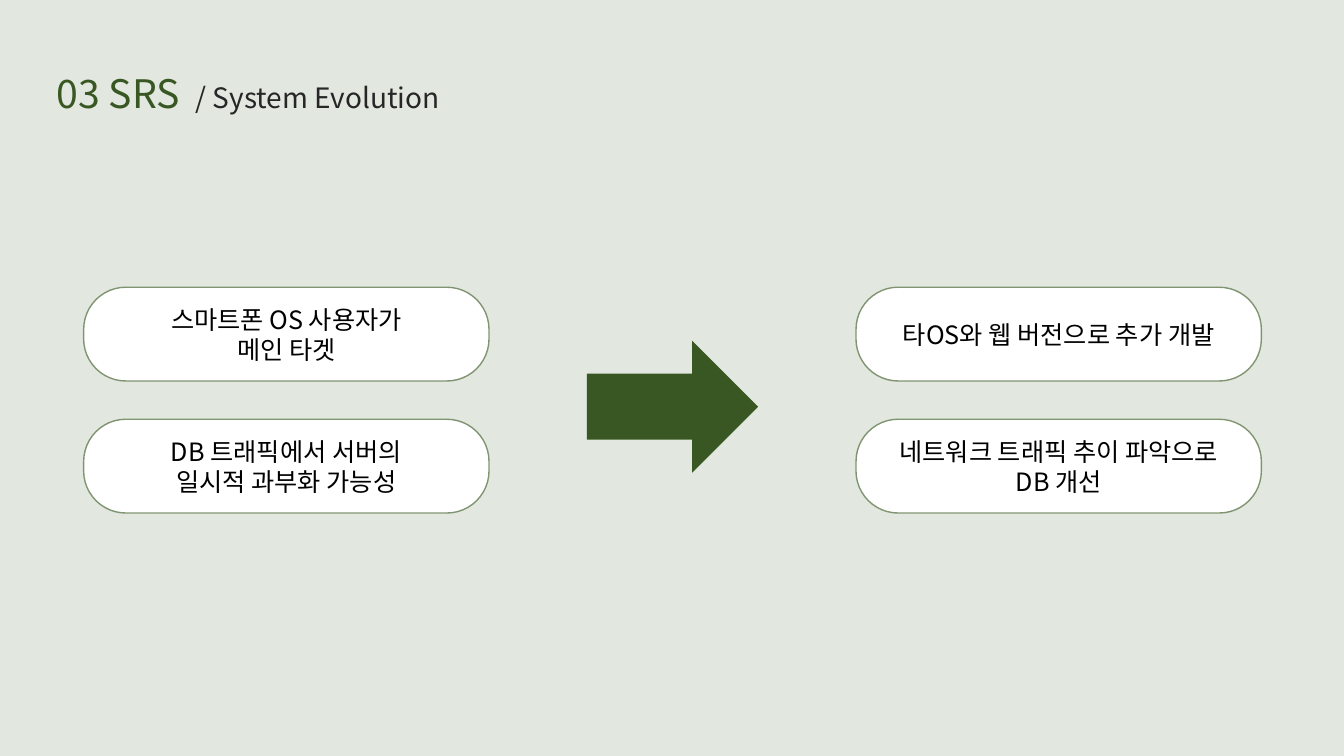
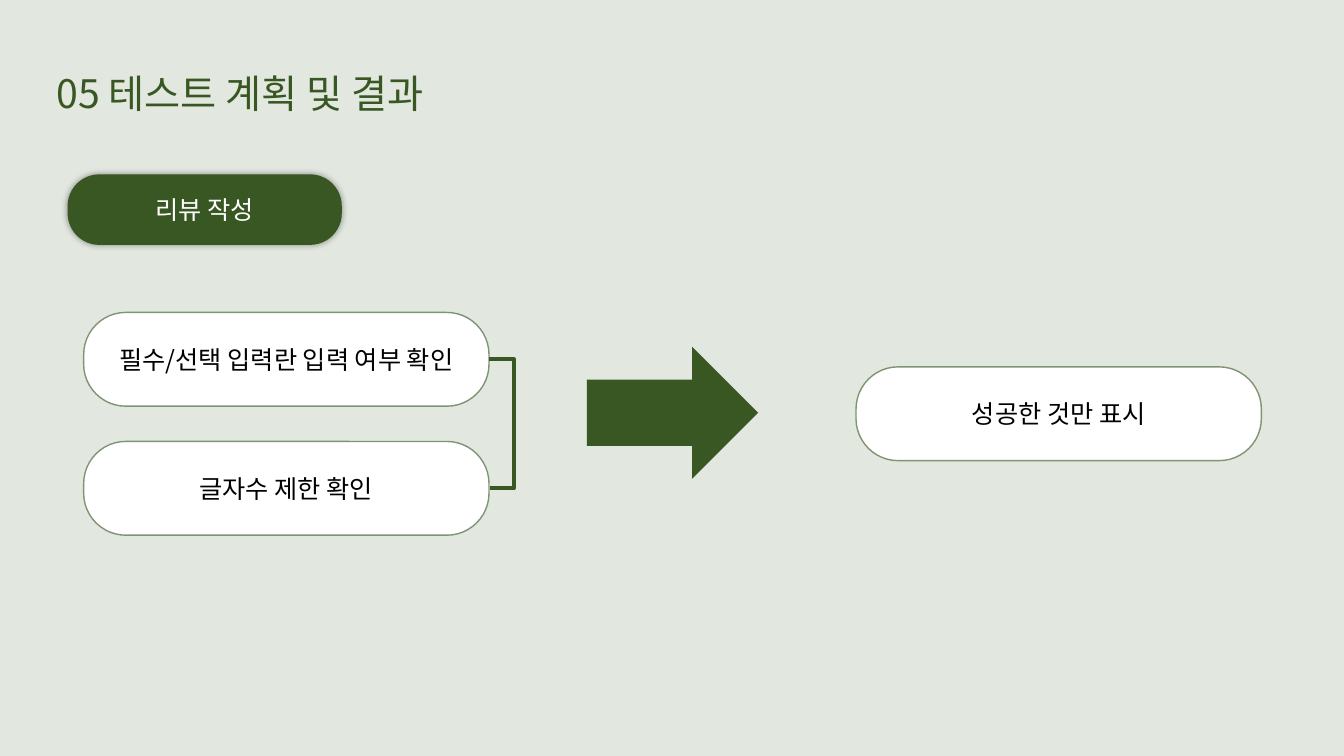
from lxml import etree
from pptx import Presentation
from pptx.dml.color import RGBColor
from pptx.enum.shapes import MSO_CONNECTOR, MSO_SHAPE
from pptx.enum.text import MSO_ANCHOR, MSO_AUTO_SIZE, PP_ALIGN
from pptx.oxml.ns import qn
from pptx.util import Inches, Pt

ROUND = MSO_SHAPE.ROUNDED_RECTANGLE
ARROW = MSO_SHAPE.RIGHT_ARROW
ELBOW = MSO_CONNECTOR.ELBOW
MIDDLE = MSO_ANCHOR.MIDDLE
FIXED = MSO_AUTO_SIZE.NONE
LEFT = PP_ALIGN.LEFT
CENTER = PP_ALIGN.CENTER

FONT = "Noto Sans CJK KR"
GREEN, SAGE, PALE = "385723", "809472", "E2E7DF"
WHITE, BLACK, GRAY = "FFFFFF", "000000", "262626"
LEFT_X, RIGHT_X = 0.83, 8.49
PILL_W, PILL_H = 4.02, 0.93
HEAD_FRAME = {"word_wrap": True, "auto_size": FIXED, "vertical_anchor": MIDDLE,
              "margin_left": Inches(0.23)}
PILL_FRAME = {"word_wrap": True, "vertical_anchor": MIDDLE}


def color(code):
    """Turn a hex string into a colour."""
    return RGBColor.from_string(code)


def box(*sides):
    """Turn inch values into lengths."""
    return [Inches(side) for side in sides]


def apply(target, values):
    """Set each named value on the target."""
    for name, value in values.items():
        setattr(target, name, value)


def add_node(parent, tag, **values):
    """Append an XML element with its attributes."""
    return etree.SubElement(parent, qn(tag), values)


def add_run(para, text, size, code):
    """Add a run in the deck font, for Latin and Korean letters."""
    run = para.add_run()
    run.text = text
    apply(run.font, {"name": FONT, "size": Pt(size), "bold": False})
    run.font.color.rgb = color(code)
    add_node(run.font._element, "a:ea", typeface=FONT)


def set_theme(prs):
    """Set the background and the title frame once; return the layout."""
    fill = prs.slide_master.background.fill
    fill.solid()
    fill.fore_color.rgb = color(PALE)
    layout = prs.slide_layouts[5]
    head = layout.placeholders[0]
    sides = box(0.33, 0.46, 7.8, 0.93)
    apply(head, dict(zip(("left", "top", "width", "height"), sides)))
    apply(head.text_frame, HEAD_FRAME)
    return layout


def add_page(prs, layout, title, topic=None):
    """Add a slide with its title and an optional topic after a tab."""
    slide = prs.slides.add_slide(layout)
    para = slide.shapes.title.text_frame.paragraphs[0]
    para.alignment = LEFT
    if topic:
        tabs = add_node(para._p.get_or_add_pPr(), "a:tabLst")
        add_node(tabs, "a:tab", pos=str(Inches(1.38)), algn="l")
    add_run(para, title, 28, GREEN)
    if topic:
        add_run(para, f"\t/ {topic}", 20, GRAY)
    return slide


def add_shape(slide, kind, sides, fill, line=None):
    """Add a flat preset shape."""
    shape = slide.shapes.add_shape(kind, *box(*sides))
    shape.shadow.inherit = False
    shape.fill.solid()
    shape.fill.fore_color.rgb = color(fill)
    if line:
        shape.line.color.rgb = color(line)
        shape.line.width = Pt(1)
    else:
        shape.line.fill.background()
    return shape


def add_pill(slide, sides, lines, fill=WHITE, line=SAGE, ink=BLACK):
    """Add a rounded box with centred lines of text."""
    pill = add_shape(slide, ROUND, sides, fill, line)
    pill.adjustments[0] = 0.449
    frame = pill.text_frame
    apply(frame, PILL_FRAME)
    for i, text in enumerate(lines):
        para = frame.add_paragraph() if i else frame.paragraphs[0]
        para.alignment = CENTER
        add_run(para, text, 18, ink)
    return pill


def add_card(slide, left, top, *lines):
    """Add a white pill of the common size."""
    return add_pill(slide, (left, top, PILL_W, PILL_H), lines)


def add_arrow(slide, top):
    """Add the broad arrow between the columns."""
    add_shape(slide, ARROW, (5.82, top, 1.7, 1.31), GREEN)


def add_tag(slide, text):
    """Add the green section pill with a soft shadow."""
    tag = add_pill(slide, (0.67, 1.73, 2.72, 0.7), [text], GREEN, None, WHITE)
    effects = tag._element.spPr.find(qn("a:effectLst"))
    shade = add_node(effects, "a:outerShdw", blurRad=str(Pt(5)), algn="ctr",
                     rotWithShape="0")
    ink = add_node(shade, "a:srgbClr", val=BLACK)
    add_node(ink, "a:alpha", val="40000")


def add_brace(slide, upper, lower):
    """Join the right sides of two pills with a bent line."""
    edge = upper.left + upper.width
    span, reach = Inches(0.01), Inches(0.25)
    ends = [card.top + card.height // 2 for card in (upper, lower)]
    brace = slide.shapes.add_connector(ELBOW, edge, ends[0], edge + span, ends[1])
    brace.line.color.rgb = color(GREEN)
    brace.line.width = Pt(3)
    props = brace._element.spPr
    add_node(props, "a:effectLst")
    guides = props.find(qn("a:prstGeom")).find(qn("a:avLst"))
    add_node(guides, "a:gd", name="adj1", fmla=f"val {reach * 100000 // span}")


def build_plan(prs, layout):
    """Build the system evolution slide."""
    slide = add_page(prs, layout, "03 SRS", "System Evolution")
    upper, lower = 2.85, 4.16
    add_card(slide, LEFT_X, upper, "스마트폰 OS 사용자가", "메인 타겟")
    add_card(slide, RIGHT_X, upper, "타OS와 웹 버전으로 추가 개발")
    add_card(slide, LEFT_X, lower, "DB 트래픽에서 서버의", "일시적 과부화 가능성")
    add_card(slide, RIGHT_X, lower, "네트워크 트래픽 추이 파악으로", "DB 개선")
    add_arrow(slide, 3.38)


def build_test(prs, layout):
    """Build the test plan and result slide."""
    slide = add_page(prs, layout, "05 테스트 계획 및 결과")
    add_tag(slide, "리뷰 작성")
    upper = add_card(slide, LEFT_X, 3.1, "필수/선택 입력란 입력 여부 확인")
    lower = add_card(slide, LEFT_X, 4.38, "글자수 제한 확인")
    add_brace(slide, upper, lower)
    add_arrow(slide, 3.44)
    add_card(slide, RIGHT_X, 3.64, "성공한 것만 표시")


def main():
    """Build and save the deck."""
    prs = Presentation()
    apply(prs, {"slide_width": Inches(13.33), "slide_height": Inches(7.5)})
    layout = set_theme(prs)
    build_plan(prs, layout)
    build_test(prs, layout)
    prs.save("out.pptx")


if __name__ == "__main__":
    main()
